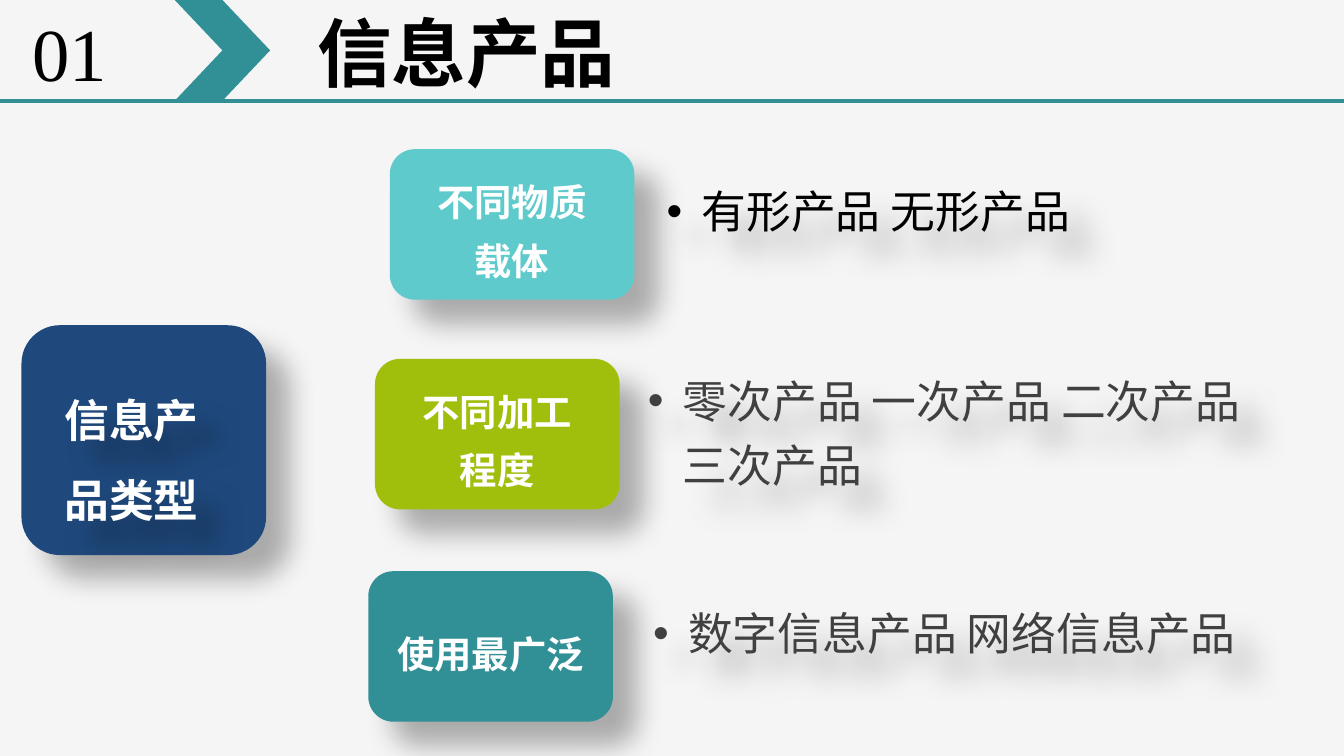
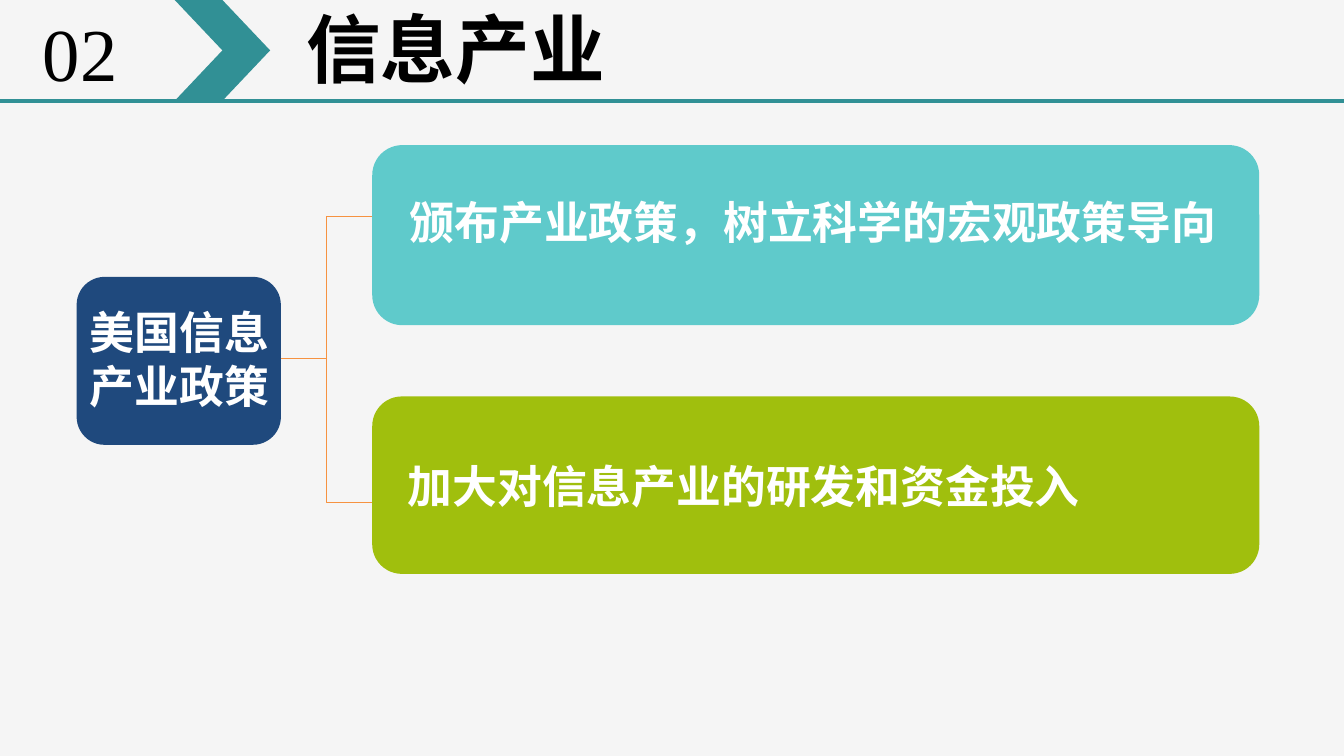
from dataclasses import dataclass

from lxml import etree
from pptx import Presentation
from pptx.dml.color import RGBColor
from pptx.enum.shapes import MSO_CONNECTOR, MSO_SHAPE
from pptx.enum.text import MSO_ANCHOR, MSO_AUTO_SIZE, PP_ALIGN
from pptx.oxml.ns import qn
from pptx.util import Inches, Pt

ROUND, CHEVRON = MSO_SHAPE.ROUNDED_RECTANGLE, MSO_SHAPE.CHEVRON
STRAIGHT, ELBOW = MSO_CONNECTOR.STRAIGHT, MSO_CONNECTOR.ELBOW
LEFT, CENTER = PP_ALIGN.LEFT, PP_ALIGN.CENTER
TOP, MIDDLE = MSO_ANCHOR.TOP, MSO_ANCHOR.MIDDLE
GROW, FIXED = MSO_AUTO_SIZE.SHAPE_TO_FIT_TEXT, MSO_AUTO_SIZE.NONE


@dataclass(frozen=True)
class Theme:
    back: str = "F5F5F5"
    teal: str = "319095"
    aqua: str = "5FCACB"
    lime: str = "A0BF0D"
    navy: str = "1F497D"
    orange: str = "F69240"
    white: str = "FFFFFF"
    black: str = "000000"
    gray: str = "404040"
    font: str = "Times New Roman"
    title: int = 40
    body: int = 24
    label: int = 20


T = Theme()
rgb = RGBColor.from_string
SLIM = (0.08, 0.04)
WIDE = (0.1, 0.05)


def form(slide, at, kind=None, fill=None, shade=False):
    """Add a preset shape, or a text box if no kind is given."""
    place = [Inches(v) for v in at]
    if kind is None:
        shape = slide.shapes.add_textbox(*place)
    else:
        shape = slide.shapes.add_shape(kind, *place)
        shape.fill.solid()
        shape.fill.fore_color.rgb = rgb(fill)
        shape.line.fill.background()
    shape.shadow.inherit = False
    if shade:
        effects = shape._element.spPr.find(qn("a:effectLst"))
        outer = etree.SubElement(
            effects, qn("a:outerShdw"), blurRad=str(Pt(15)), dist=str(Pt(18)),
            dir="2700000", algn="ctr", rotWithShape="0")
        color = etree.SubElement(outer, qn("a:srgbClr"), val=T.black)
        etree.SubElement(color, qn("a:alpha"), val="30000")
    return shape


def write(shape, text, size=T.body, color=T.white, bold=True, align=LEFT,
          anchor=TOP, pad=WIDE, lead=0, space=None, fit=GROW, wrap=True,
          bullet=False):
    """Fill a shape with text, one paragraph a line."""
    frame = shape.text_frame
    frame.word_wrap, frame.auto_size = wrap, fit
    frame.vertical_anchor = anchor
    frame.margin_left, frame.margin_right = Inches(pad[0] + lead), Inches(pad[0])
    frame.margin_top = frame.margin_bottom = Inches(pad[1])
    frame.text = text
    for para in frame.paragraphs:
        para.alignment = align
        if space:
            para.line_spacing = space
        font = para.runs[0].font
        font.name, font.size, font.bold = T.font, Pt(size), bold
        font.color.rgb = rgb(color)
        if bullet:
            props = para._p.get_or_add_pPr()
            props.set("marL", str(Inches(0.26)))
            props.set("indent", str(-Inches(0.26)))
            etree.SubElement(props, qn("a:buFont"), typeface="Arial")
            etree.SubElement(props, qn("a:buChar"), char="•")


deck = Presentation()
deck.slide_width = Inches(10)
deck.slide_height = deck.slide_width * 9 // 16

# Shared header: number, chevron, title, rule
pages = []
for num, title, num_x, title_at in (
        ("01", "信息产品", 0.16, (2.2, 0.01)),
        ("02", "信息产业", 0.24, (2.12, -0.02))):
    slide = deck.slides.add_slide(deck.slide_layouts[6])
    pages.append(slide)
    slide.background.fill.solid()
    slide.background.fill.fore_color.rgb = rgb(T.back)
    rule = slide.shapes.add_connector(
        STRAIGHT, 0, Inches(0.75), Inches(10.01), Inches(0.75))
    rule.line.color.rgb, rule.line.width = rgb(T.teal), Pt(2.25)
    etree.SubElement(rule._element.spPr, qn("a:effectLst"))
    write(form(slide, (*title_at, 5.24, 0.76)), title, size=T.title,
          color=T.black, pad=SLIM, lead=0.08)
    form(slide, (1.3, 0, 0.71, 0.75), CHEVRON, T.teal)
    write(form(slide, (num_x, 0.01, 0.73, 0.76)), num, size=T.title,
          color=T.black, bold=False, pad=SLIM, wrap=False)
kinds, policy = pages

# Slide 1: three groupings, each with its products
for label, fill, label_at, items, color, items_at in (
        ("不同物质\n载体", T.aqua, (2.9, 1.11),
         "有形产品 无形产品", T.black, (4.88, 1.25, 4.92, 0.83)),
        ("不同加工\n程度", T.lime, (2.79, 2.67),
         "零次产品 一次产品 二次产品 三次产品", T.gray, (4.74, 2.66, 4.92, 1.46)),
        ("使用最广泛", T.teal, (2.74, 4.25),
         "数字信息产品 网络信息产品", T.gray, (4.78, 4.39, 4.92, 0.83))):
    card = form(kinds, (*label_at, 1.82, 1.12), ROUND, fill, shade=True)
    write(card, label, size=T.label, align=CENTER, anchor=MIDDLE, pad=SLIM,
          space=1.3, fit=FIXED)
    write(form(kinds, items_at, shade=True), items, color=color, bold=False,
          pad=SLIM, space=1.2, bullet=True)

# Slide 1: topic
form(kinds, (0.16, 2.42, 1.82, 1.71), ROUND, T.navy, shade=True)
write(form(kinds, (0.38, 2.67, 1.36, 1.24), shade=True), "信息产品类型", space=1.5)

# Slide 2: topic and two policies
form(policy, (2.77, 1.08, 6.6, 1.34), ROUND, T.aqua)
fund = form(policy, (2.77, 2.95, 6.6, 1.32), ROUND, T.lime)
write(fund, "加大对信息产业的研发和资金投入", anchor=MIDDLE, pad=SLIM,
      lead=0.12, fit=FIXED)
form(policy, (0.57, 2.06, 1.52, 1.25), ROUND, T.navy)

# Slide 2: branches
for end in (1.61, 3.74):
    branch = policy.shapes.add_connector(
        ELBOW, Inches(2.09), Inches(2.67), Inches(2.77), Inches(end))
    branch.line.color.rgb, branch.line.width = rgb(T.orange), Pt(0.75)
    etree.SubElement(branch._element.spPr, qn("a:effectLst"))

# Slide 2: labels over the boxes
write(form(policy, (2.95, 1.4, 6.26, 0.5)), "颁布产业政策，树立科学的宏观政策导向")
write(form(policy, (0.57, 2.22, 1.55, 0.91)), "美国信息\n产业政策", wrap=False)

deck.save("out.pptx")
